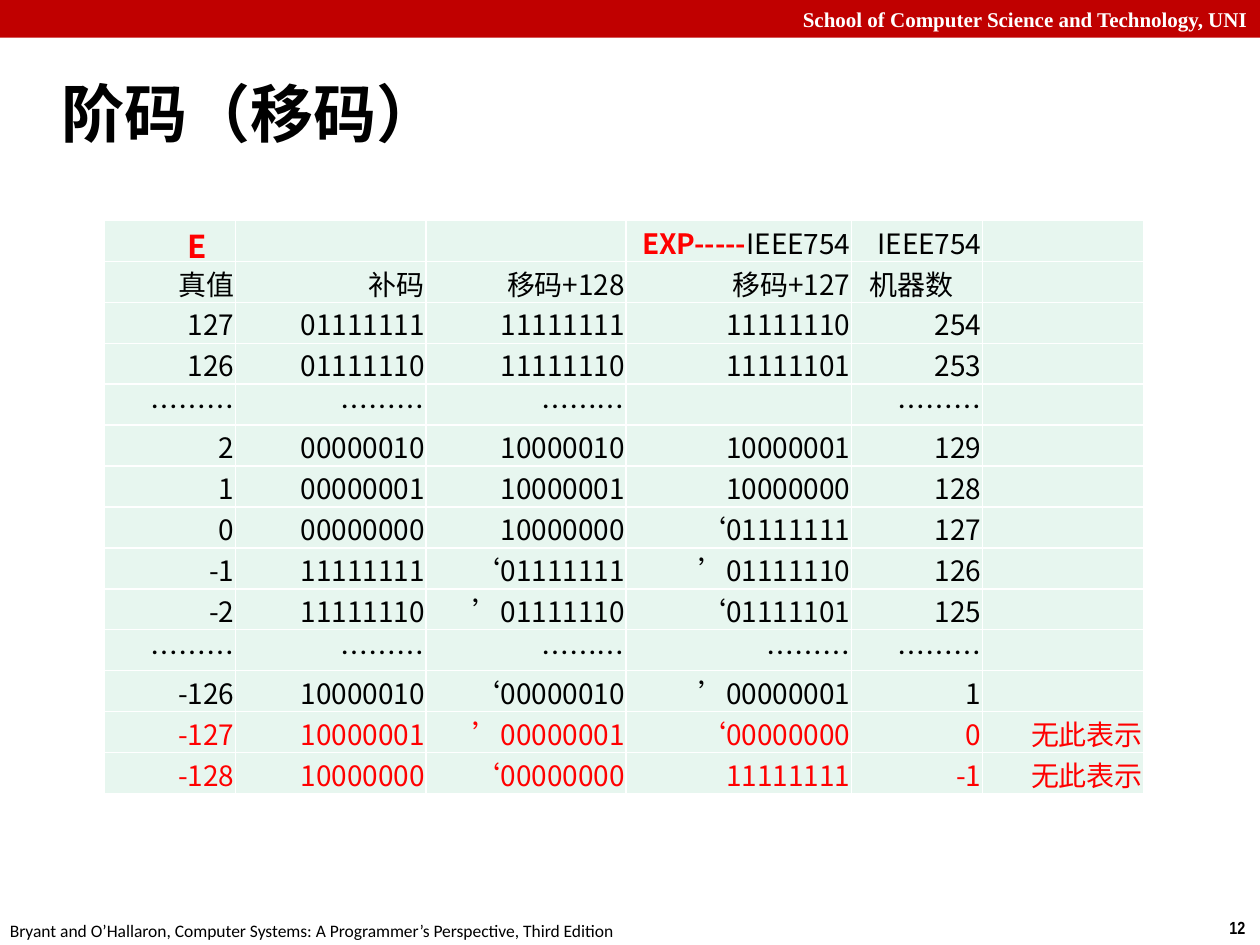
from pptx import Presentation
from pptx.dml.color import RGBColor
from pptx.enum.shapes import MSO_SHAPE as Kind
from pptx.enum.text import MSO_ANCHOR as Anchor, PP_ALIGN as Align, MSO_AUTO_SIZE as Auto
from pptx.oxml.ns import qn
from pptx.util import Inches, Pt
from lxml.etree import SubElement as Sub

HEAD = "阶码（移码）"
BAND = "School of Computer Science and Technology, UNI"
BOOK = "Bryant and O’Hallaron, Computer Systems: A Programmer’s Perspective, Third Edition"
PAGE = "12"
DOTS = "………"
NONE = "无此表示"
WIDE = "\u3000"
ROWS = [
    ("E" + WIDE, "", "", "EXP-----IEEE754", "IEEE754", ""),
    ("真值", "补码", "移码+128", "移码+127", "机器数" + WIDE, ""),
    ("127", "01111111", "11111111", "11111110", "254", ""),
    ("126", "01111110", "11111110", "11111101", "253", ""),
    (DOTS, DOTS, DOTS, "", DOTS, ""),
    ("2", "00000010", "10000010", "10000001", "129", ""),
    ("1", "00000001", "10000001", "10000000", "128", ""),
    ("0", "00000000", "10000000", "‘01111111", "127", ""),
    ("-1", "11111111", "‘01111111", "’01111110", "126", ""),
    ("-2", "11111110", "’01111110", "‘01111101", "125", ""),
    (DOTS, DOTS, DOTS, DOTS, DOTS, ""),
    ("-126", "10000010", "‘00000010", "’00000001", "1", ""),
    ("-127", "10000001", "’00000001", "‘00000000", "0", NONE),
    ("-128", "10000000", "‘00000000", "11111111", "-1", NONE),
]
COLS = [1.04, 1.51, 1.59, 1.79, 1.04, 1.28]
SANS = "Noto Sans CJK SC"
BASE = {"size": Pt(16), "name": SANS, "bold": False}
MARK = {"E": {"size": Pt(18), "bold": True}, "EXP-----": {"bold": True}}
INSET = {
    "margin_left": Inches(0.01),
    "margin_right": Inches(0.01),
    "margin_top": Inches(0.01),
    "margin_bottom": 0,
    "vertical_anchor": Anchor.MIDDLE,
}


def color(code):
    return RGBColor.from_string(code)


def apply(item, vals):
    for key, val in vals.items():
        setattr(item, key, val)


def write(para, text, code, **vals):
    run = para.add_run()
    run.text = text
    apply(run.font, vals)
    run.font.color.rgb = color(code)
    Sub(run.font._element, qn("a:ea"), typeface=SANS)


def label(box, text, code, align, wrap, **vals):
    frame = box.text_frame
    apply(frame, {"word_wrap": wrap, "vertical_anchor": Anchor.MIDDLE})
    para = frame.paragraphs[0]
    para.alignment = align
    write(para, text, code, **vals)


def edge(cell):
    props = cell._tc.get_or_add_tcPr()
    for side in ("lnL", "lnR", "lnT", "lnB"):
        line = Sub(props, qn("a:" + side), w=str(Pt(1)))
        Sub(Sub(line, qn("a:solidFill")), qn("a:srgbClr"), val="FFFFFF")


def split(text):
    for lead in MARK:
        if text in (lead + WIDE, lead + "IEEE754"):
            return [lead, text[len(lead):]]
    return [text]


deck = Presentation()
apply(deck, {"slide_width": Inches(10), "slide_height": Inches(7.5)})
slide = deck.slides.add_slide(deck.slide_layouts[5])
shapes = slide.shapes


def place(left, top, width, height):
    return [Inches(n) for n in (left, top, width, height)]


label(shapes.add_textbox(*place(9.66, 7.23, 0.34, 0.27)), PAGE, "000000",
      Align.LEFT, False, size=Pt(10), name="Arial Narrow", bold=True)
label(shapes.add_textbox(*place(-0.02, 7.25, 5.08, 0.27)), BOOK, "000000",
      Align.LEFT, True, size=Pt(10), name="Calibri")

band = shapes.add_shape(Kind.RECTANGLE, *place(0, 0, 10, 0.3))
band.shadow.inherit = False
band.fill.solid()
band.fill.fore_color.rgb = color("C00000")
band.line.fill.background()
label(band, BAND, "FFFFFF", Align.RIGHT, True,
      size=Pt(12), name="Times New Roman", bold=True)

title = shapes.title
apply(title, dict(zip(("left", "top", "width", "height"), place(0.39, 0.48, 9.61, 0.83))))
label(title, HEAD, "000000", Align.LEFT, True, size=Pt(36), name="Calibri", bold=True)
title.text_frame.auto_size = Auto.NONE
props = title.text_frame.paragraphs[0]._p.get_or_add_pPr()
props.set("marL", str(Inches(0.13)))
props.set("indent", str(-Inches(0.13)))

table = shapes.add_table(len(ROWS), len(COLS), *place(0.83, 1.75, 8.25, 4.55)).table
apply(table, {"first_row": False, "horz_banding": False})
for col, width in zip(table.columns, COLS):
    col.width = Inches(width)
for row, texts in zip(table.rows, ROWS):
    row.height = Inches(4.55 / len(ROWS))
    for cell, text in zip(row.cells, texts):
        apply(cell, INSET)
        edge(cell)
        cell.fill.solid()
        cell.fill.fore_color.rgb = color("E7F6EF")
        para = cell.text_frame.paragraphs[0]
        para.alignment = Align.RIGHT
        if not text:
            Sub(para._p, qn("a:endParaRPr"), sz="1600")
            continue
        for part in split(text):
            red = part in MARK or NONE in texts
            write(para, part, "FF0000" if red else "000000", **{**BASE, **MARK.get(part, {})})

deck.save("out.pptx")
